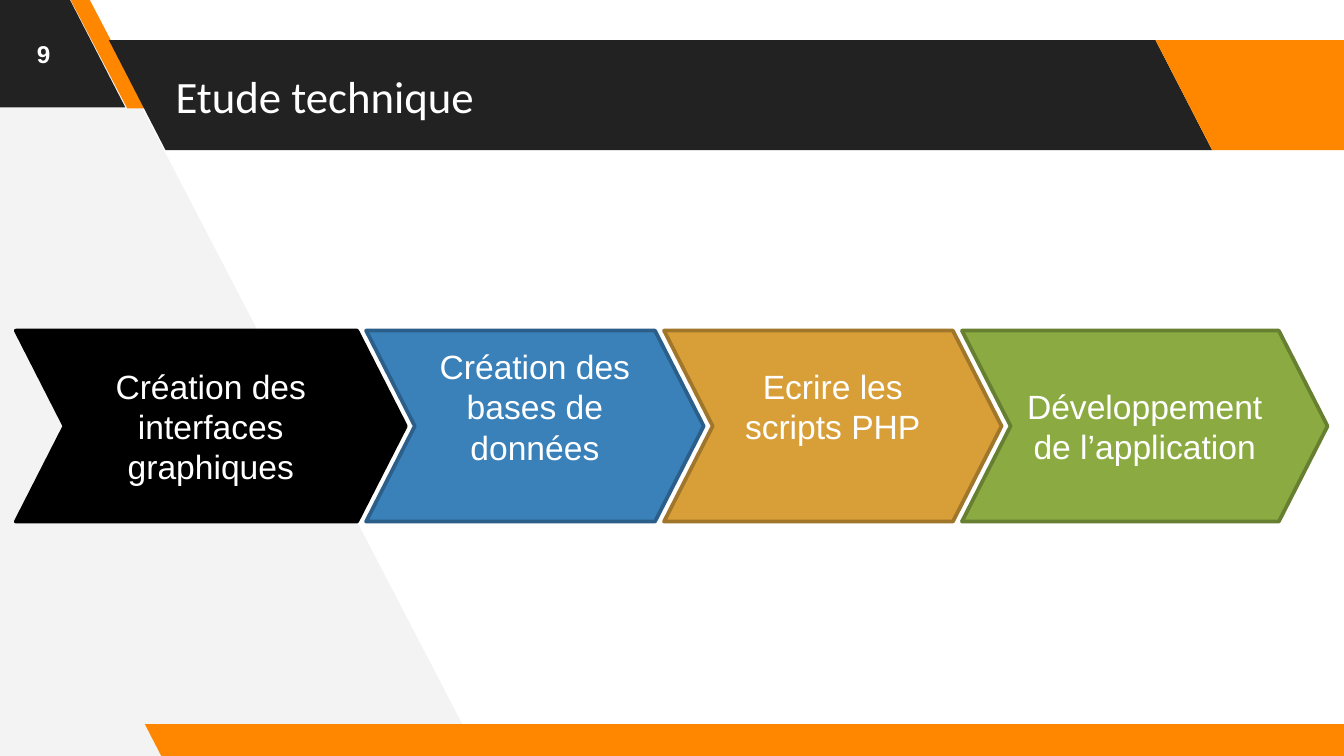
"""Build the "Etude technique" slide: a four-step chevron process."""
import pptx
import pptx.util
import pptx.dml.color
import pptx.enum.shapes
import pptx.enum.text

Cm = pptx.util.Cm
Pt = pptx.util.Pt
RGBColor = pptx.dml.color.RGBColor
MSO_SHAPE = pptx.enum.shapes.MSO_SHAPE
PP_ALIGN = pptx.enum.text.PP_ALIGN

WHITE = RGBColor(0xFF, 0xFF, 0xFF)
BLACK = RGBColor(0x00, 0x00, 0x00)
PALE = RGBColor(0xF3, 0xF3, 0xF3)
DARK = RGBColor(0x22, 0x22, 0x22)
ORANGE = RGBColor(0xFF, 0x87, 0x00)
BLUE = RGBColor(0x3A, 0x81, 0xBA)
BLUE_EDGE = RGBColor(0x2B, 0x5F, 0x8A)
OCHRE = RGBColor(0xD8, 0x9F, 0x39)
OCHRE_EDGE = RGBColor(0xA0, 0x76, 0x2A)
GREEN = RGBColor(0x8B, 0xAB, 0x42)
GREEN_EDGE = RGBColor(0x67, 0x7F, 0x31)

INSET = 0.25


def paint(shape, fill, edge=None):
    shape.shadow.inherit = False
    shape.fill.solid()
    shape.fill.fore_color.rgb = fill
    if edge is None:
        shape.line.fill.background()
    else:
        shape.line.color.rgb = edge
        shape.line.width = Pt(2)


def write(shape, text, size, font, align, bold=False, bottom=INSET):
    frame = shape.text_frame
    frame.word_wrap = True
    frame.vertical_anchor = pptx.enum.text.MSO_ANCHOR.MIDDLE
    frame.margin_left = frame.margin_right = frame.margin_top = Cm(INSET)
    frame.margin_bottom = Cm(bottom)
    frame.text = text
    paragraph = frame.paragraphs[0]
    paragraph.alignment = align
    run_font = paragraph.runs[0].font
    run_font.size = Pt(size)
    run_font.name = font
    run_font.bold = bold
    run_font.color.rgb = WHITE


deck = pptx.Presentation()
deck.slide_width = Cm(25.4)
deck.slide_height = Cm(14.29)
slide = deck.slides.add_slide(deck.slide_layouts[6])
shapes = slide.shapes

outline = shapes.build_freeform(Cm(9.04), Cm(14.27))
outline.add_line_segments(
    [(Cm(1.57), Cm(-0.1)), (Cm(-0.15), Cm(-0.1)), (Cm(-0.05), Cm(14.38))], close=True)
paint(outline.convert_to_shape(), PALE)

bands = [
    (-2.51, -0.05, 4.88, 2.08, 0.515, DARK),
    (1.32, -0.03, 1.45, 2.08, 0.75, ORANGE),
    (2.06, 0.76, 20.85, 2.08, 0.515, DARK),
    (21.84, 0.76, 4.88, 2.08, 0.515, ORANGE),
    (2.74, 13.69, 23.24, 0.64, 0.515, ORANGE),
]
for left, top, width, height, slant, color in bands:
    band = shapes.add_shape(
        MSO_SHAPE.PARALLELOGRAM, Cm(left), Cm(top), Cm(width), Cm(height))
    band.adjustments[0] = slant
    band.element.spPr.xfrm.set("flipH", "1")
    paint(band, color)

title = shapes.add_textbox(Cm(3.07), Cm(0.76), Cm(18.67), Cm(2.08))
write(title, "Etude technique", 24, "Calibri", PP_ALIGN.LEFT)

page_number = shapes.add_textbox(Cm(0), Cm(0), Cm(1.65), Cm(2.03))
write(page_number, "9", 13, "Arial", PP_ALIGN.CENTER, bold=True)

RAISED = 1.0
OVERLAP = 0.75
steps = [
    ("Création des interfaces graphiques", 7.37, BLACK, BLACK, INSET),
    ("Création des bases de données", 6.38, BLUE, BLUE_EDGE, RAISED),
    ("Ecrire les scripts PHP", 6.38, OCHRE, OCHRE_EDGE, RAISED),
    ("Développement de l’application", 6.91, GREEN, GREEN_EDGE, INSET),
]
step_left = 0.3
for label, width, color, edge, bottom in steps:
    step = shapes.add_shape(
        MSO_SHAPE.CHEVRON, Cm(step_left), Cm(6.25), Cm(width), Cm(3.61))
    step.adjustments[0] = 0.255
    paint(step, color, edge)
    write(step, label, 18, "Arial", PP_ALIGN.CENTER, bottom=bottom)
    step_left += width - OVERLAP

deck.save("out.pptx")
